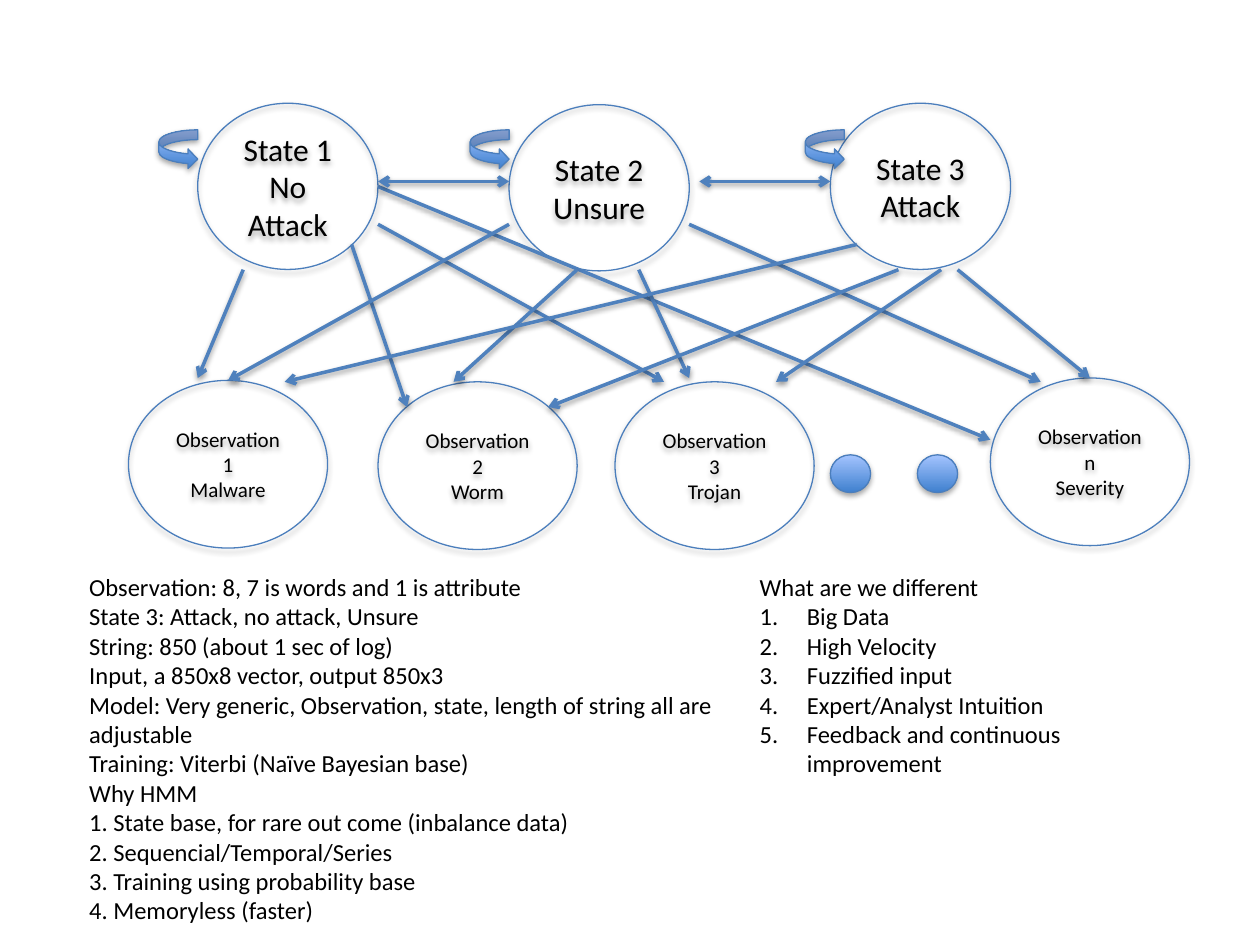
from typing import NamedTuple

from lxml.etree import SubElement
from pptx import Presentation
from pptx.dml.color import RGBColor
from pptx.enum.shapes import MSO_CONNECTOR, MSO_SHAPE as Preset
from pptx.enum.text import MSO_ANCHOR, MSO_AUTO_SIZE, PP_ALIGN
from pptx.oxml.ns import qn
from pptx.util import Pt

OUTLINE = RGBColor(0x4B, 0x7E, 0xBC)
ARROW = RGBColor(0x4F, 0x81, 0xBD)
GRADIENT = (RGBColor(0x3F, 0x80, 0xCE), RGBColor(0xA4, 0xC4, 0xFF))
BLACK = RGBColor(0, 0, 0)
FONT = "Calibri"


class Box(NamedTuple):
    left: float
    top: float
    width: float
    height: float

    def lengths(self) -> list:
        return [Pt(value) for value in self]


class Node(NamedTuple):
    left: float
    top: float
    text: str


class Arrow(NamedTuple):
    x1: float
    y1: float
    x2: float
    y2: float
    both_ends: bool = False


STATE_SIZE = (103, 95)
STATES = [
    Node(113, 59, "State 1\nNo Attack"),
    Node(290.9, 59.8, "State 2\nUnsure"),
    Node(474.5, 59, "State 3\nAttack"),
]
OBSERVATION_SIZE = (113.8, 95.8)
OBSERVATIONS = [
    Node(73.4, 217.4, "Observation 1\nMalware"),
    Node(216, 218.2, "Observation 2\nWorm"),
    Node(351.4, 218.2, "Observation 3\nTrojan"),
    Node(565.9, 216, "Observation n\nSeverity"),
]
DOT_LEFTS = (474.5, 524.2)
LOOP_LEFTS = (90.7, 268.6, 460.1)
ARROWS = [
    # From state 1
    Arrow(139, 154.1, 113, 216),
    Arrow(200.9, 139.7, 232.6, 232.6),
    Arrow(216, 128.2, 379.4, 218.2),
    Arrow(216, 106.6, 565.9, 251.3),
    # From state 2
    Arrow(290.9, 128.2, 130.3, 217.4),
    Arrow(329.8, 154.1, 259.2, 218.2),
    Arrow(365, 154.1, 393.8, 216),
    Arrow(393.8, 128.2, 594.7, 218.2),
    # From state 3
    Arrow(489.6, 139.7, 162.7, 218.2),
    Arrow(513.4, 154.1, 313.2, 232.6),
    Arrow(537.8, 154.1, 443.5, 218.2),
    Arrow(547.2, 154.1, 622.8, 216),
    # Between states
    Arrow(216, 103.7, 290.9, 103.7, True),
    Arrow(399.6, 103.7, 474.5, 103.7, True),
]
MODEL_NOTES = """Observation: 8, 7 is words and 1 is attribute
State 3: Attack, no attack, Unsure
String: 850 (about 1 sec of log)
Input, a 850x8 vector, output 850x3
Model: Very generic, Observation, state, length of string all are adjustable
Training: Viterbi (Naïve Bayesian base)
Why HMM
1. State base, for rare out come (inbalance data)
2. Sequencial/Temporal/Series
3. Training using probability base
4. Memoryless (faster)"""
DIFFERENCES = """What are we different
Big Data
High Velocity
Fuzzified input
Expert/Analyst Intuition
Feedback and continuous improvement"""


def add_shadow(effects, distance: float, opacity: int) -> None:
    shadow = SubElement(effects, qn("a:outerShdw"), blurRad=str(Pt(3.15)),
                        dist=str(Pt(distance)), dir="5400000", rotWithShape="0")
    color = SubElement(shadow, qn("a:srgbClr"), val="000000")
    SubElement(color, qn("a:alpha"), val=str(opacity * 1000))


def format_text(text_frame, size: float) -> None:
    for paragraph in text_frame.paragraphs:
        for run in paragraph.runs:
            run.font.name = FONT
            run.font.size = Pt(size)
            run.font.color.rgb = BLACK


def add_figure(slide, preset: Preset, box: Box, filled: bool = True):
    shape = slide.shapes.add_shape(preset, *box.lengths())
    if filled:
        shape.fill.gradient()
        shape.fill.gradient_angle = 90
        for stop, color in zip(shape.fill.gradient_stops, GRADIENT):
            stop.color.rgb = color
    else:
        shape.fill.background()
    shape.line.color.rgb = OUTLINE
    shape.line.width = Pt(0.75)
    shape.shadow.inherit = False
    add_shadow(shape._element.spPr.find(qn("a:effectLst")), 1.8, 35)
    return shape


def add_node(slide, node: Node, size: tuple, font_size: float) -> None:
    shape = add_figure(slide, Preset.OVAL, Box(node.left, node.top, *size), filled=False)
    text_frame = shape.text_frame
    text_frame.text = node.text
    text_frame.word_wrap = True
    text_frame.vertical_anchor = MSO_ANCHOR.MIDDLE
    for paragraph in text_frame.paragraphs:
        paragraph.alignment = PP_ALIGN.CENTER
    format_text(text_frame, font_size)


def add_arrow(slide, arrow: Arrow) -> None:
    ends = [Pt(value) for value in arrow[:4]]
    connector = slide.shapes.add_connector(MSO_CONNECTOR.STRAIGHT, *ends)
    connector.line.color.rgb = ARROW
    connector.line.width = Pt(2)
    properties = connector._element.spPr
    line = properties.find(qn("a:ln"))
    if arrow.both_ends:
        SubElement(line, qn("a:headEnd"), type="arrow")
    SubElement(line, qn("a:tailEnd"), type="arrow")
    add_shadow(SubElement(properties, qn("a:effectLst")), 1.6, 38)


def add_notes(slide, box: Box, text: str):
    text_frame = slide.shapes.add_textbox(*box.lengths()).text_frame
    text_frame.word_wrap = True
    text_frame.auto_size = MSO_AUTO_SIZE.SHAPE_TO_FIT_TEXT
    text_frame.text = text
    format_text(text_frame, 14)
    return text_frame


def number_paragraph(paragraph) -> None:
    properties = paragraph._p.get_or_add_pPr()
    properties.set("marL", str(Pt(27)))
    properties.set("indent", str(-Pt(27)))
    SubElement(properties, qn("a:buFont"), typeface="+mj-lt")
    SubElement(properties, qn("a:buAutoNum"), type="arabicPeriod")


def main() -> None:
    presentation = Presentation()
    presentation.slide_width, presentation.slide_height = Pt(720), Pt(540)
    slide = presentation.slides.add_slide(presentation.slide_layouts[6])

    # States, observations and the dots for those left out
    for state in STATES:
        add_node(slide, state, STATE_SIZE, 18)
    for observation in OBSERVATIONS:
        add_node(slide, observation, OBSERVATION_SIZE, 12)
    for left in DOT_LEFTS:
        add_figure(slide, Preset.OVAL, Box(left, 259.9, 23, 21.6))

    # Transitions
    for arrow in ARROWS:
        add_arrow(slide, arrow)
    for left in LOOP_LEFTS:
        add_figure(slide, Preset.CURVED_RIGHT_ARROW, Box(left, 74.2, 22.3, 22.3))

    # Notes
    add_notes(slide, Box(43.9, 323.3, 429.8, 211), MODEL_NOTES)
    differences = add_notes(slide, Box(427, 323.3, 252, 126), DIFFERENCES)
    for paragraph in differences.paragraphs[1:]:
        number_paragraph(paragraph)

    presentation.save("out.pptx")


if __name__ == "__main__":
    main()
